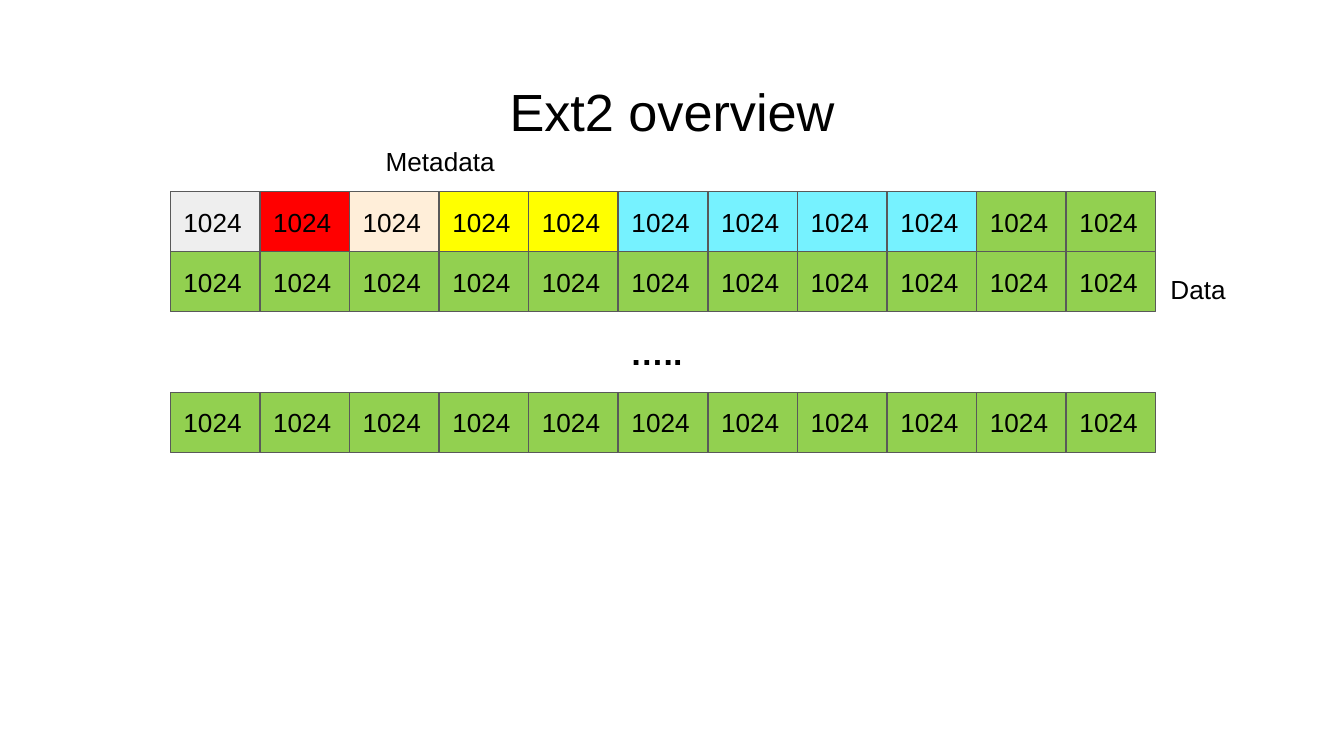
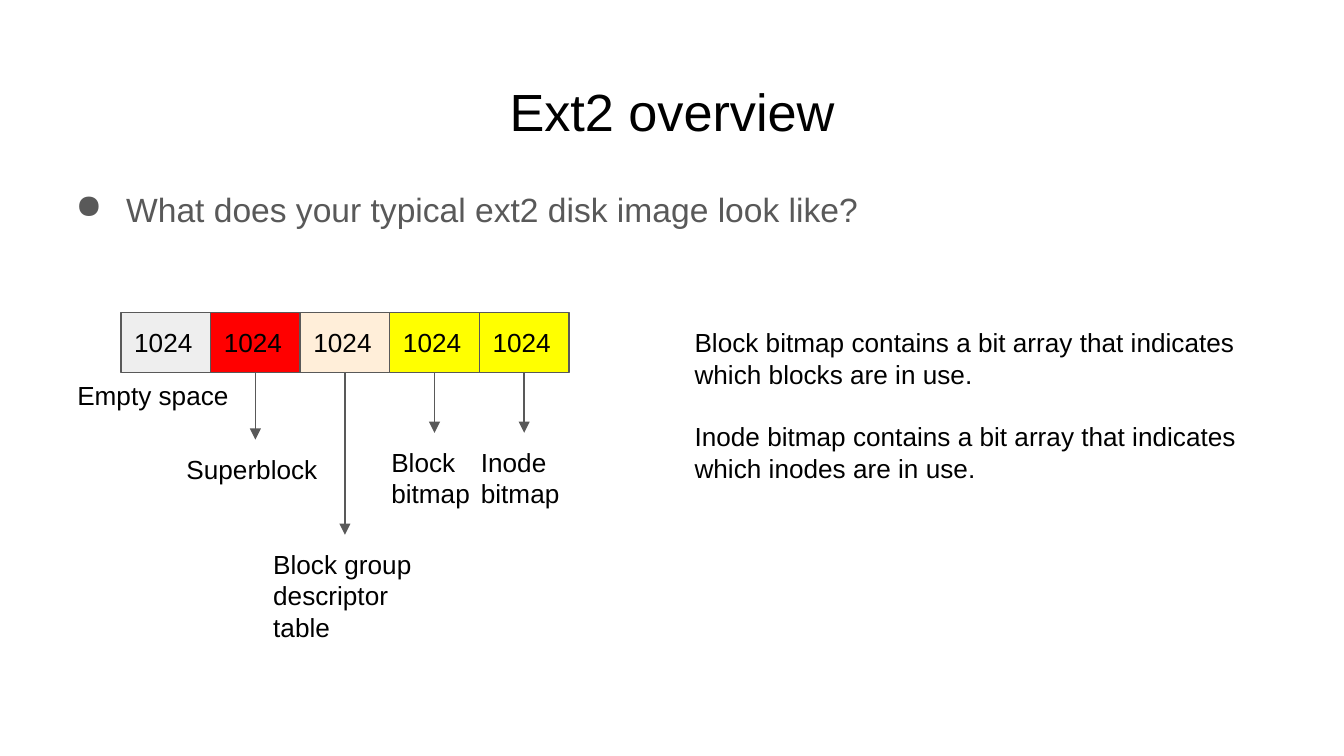
from lxml import etree
from pptx import Presentation
from pptx.dml.color import RGBColor
from pptx.enum import shapes, text
from pptx.oxml import ns
from pptx.util import Pt

FONT = "Arial"
BLACK, GRAY = "000000", "595959"
EMPTY, SUPER, GROUP, BITMAP, INODES, DATA = (
    "EEEEEE", "FF0000", "FFEED9", "FFFF00", "76F2FF", "92D050")
METADATA = [EMPTY, SUPER, GROUP, BITMAP, BITMAP]
BLOCK_W, BLOCK_H = 48, 32.2
PAD = 7.2


def rgb(value):
    """Turn a hex string into a colour."""
    return RGBColor.from_string(value)


def add_xml(parent, tag, **attrs):
    """Append a DrawingML element to a parent element."""
    return etree.SubElement(parent, ns.qn(tag), **attrs)


def style(p, size, color=BLACK, bold=False):
    """Set the font of a paragraph."""
    p.font.name, p.font.size, p.font.bold = FONT, Pt(size), bold
    p.font.color.rgb = rgb(color)


def set_frame(tf, pad_y=PAD, anchor=text.MSO_ANCHOR.TOP):
    """Set wrapping, insets and anchor of a text frame."""
    tf.word_wrap = True
    tf.auto_size = text.MSO_AUTO_SIZE.NONE
    tf.vertical_anchor = anchor
    tf.margin_left = tf.margin_right = Pt(PAD)
    tf.margin_top = tf.margin_bottom = Pt(pad_y)


def add_text(s, box, lines, size=14, color=BLACK, bold=False, pad_y=PAD):
    """Add a text box with one paragraph per line and return its paragraphs."""
    tf = s.shapes.add_textbox(*map(Pt, box)).text_frame
    set_frame(tf, pad_y)
    tf.text = "\n".join(lines)
    for p in tf.paragraphs:
        style(p, size, color, bold)
    return tf.paragraphs


def add_titled_slide(prs, title):
    """Add a title-only slide with the shared title style."""
    s = prs.slides.add_slide(prs.slide_layouts[5])
    sp = s.shapes.title
    sp.left, sp.top, sp.width, sp.height = map(Pt, (24.5, 35, 671, 45))
    sp.text_frame.text = title
    set_frame(sp.text_frame)
    p = sp.text_frame.paragraphs[0]
    p.alignment = text.PP_ALIGN.CENTER
    style(p, 28)
    return s


def add_blocks(s, left, top, colors):
    """Add a row of adjoining disk blocks."""
    for i, color in enumerate(colors):
        sp = s.shapes.add_shape(
            shapes.MSO_SHAPE.RECTANGLE, Pt(left + i * BLOCK_W), Pt(top),
            Pt(BLOCK_W), Pt(BLOCK_H))
        sp.shadow.inherit = False
        sp.fill.solid()
        sp.fill.fore_color.rgb = rgb(color)
        sp.line.color.rgb = rgb(GRAY)
        sp.line.width = Pt(0.75)
        set_frame(sp.text_frame, anchor=text.MSO_ANCHOR.MIDDLE)
        sp.text_frame.text = "1024"
        p = sp.text_frame.paragraphs[0]
        p.alignment = text.PP_ALIGN.LEFT
        style(p, 14)


def add_arrow(s, x, top, bottom):
    """Add a downward arrow."""
    line = s.shapes.add_connector(
        shapes.MSO_CONNECTOR.STRAIGHT, Pt(x), Pt(top), Pt(x), Pt(bottom))
    line.line.color.rgb = rgb(GRAY)
    line.line.width = Pt(0.75)
    add_xml(line.line._get_or_add_ln(), "a:tailEnd", type="triangle")
    add_xml(line._element.spPr, "a:effectLst")


def add_block_labels(s, left, top, labels):
    """Add a centred label box under each block, with an arrow where it drops."""
    bottom = top + BLOCK_H
    for i, (name, width, drop) in enumerate(labels):
        x = left + (i + 0.5) * BLOCK_W
        if drop > 0:
            add_arrow(s, x, bottom, bottom + drop)
        add_text(s, (x - width / 2, bottom + drop, width, 36), [name])


def add_bullet(s, box, line):
    """Add a bulleted line."""
    p = add_text(s, box, [line], 18, GRAY)[0]
    p.line_spacing, p.space_after = 1.15, Pt(16)
    pPr = p._p.get_or_add_pPr()
    pPr.set("marL", str(Pt(36)))
    pPr.set("indent", str(-Pt(27)))
    add_xml(add_xml(pPr, "a:buClr"), "a:srgbClr", val=GRAY)
    add_xml(pPr, "a:buChar", char="●")


def build_disk_slide(prs):
    """Build the slide with the whole disk."""
    s = add_titled_slide(prs, "Ext2 overview")
    left, top = 91.2, 102.6
    add_blocks(s, left, top, METADATA + [INODES] * 4 + [DATA] * 2)
    for row_top in (top + BLOCK_H, top + 107.6):
        add_blocks(s, left, row_top, [DATA] * 11)
    add_text(s, (199.5, 74.5, 120, 24.5), ["Metadata"], pad_y=3.6)
    add_text(s, (620, 142.9, 100, 24.5), ["Data"], pad_y=3.6)
    add_text(s, (330.5, 174.2, 137, 29), ["….."], 18, bold=True, pad_y=3.6)


def build_metadata_slide(prs):
    """Build the slide that names the metadata blocks."""
    s = add_titled_slide(prs, "Ext2 overview")
    add_bullet(s, (24.5, 90.7, 671, 42),
               "What does your typical ext2 disk image look like?")
    left, top = 64.8, 167.3
    add_blocks(s, left, top, METADATA)
    add_block_labels(s, left, top, [
        ("Empty space", 109, -3.6),
        ("Superblock", 88, 36),
        ("Block group descriptor table", 91, 87),
        ("Block bitmap", 60.5, 32.4),
        ("Inode bitmap", 60.5, 32.4),
    ])
    paragraphs = add_text(s, (365, 171.4, 312, 92), [
        "Block bitmap contains a bit array that indicates",
        "which blocks are in use.",
        "Inode bitmap contains a bit array that indicates",
        "which inodes are in use.",
    ], pad_y=3.6)
    paragraphs[2].space_before = Pt(16.8)


def main():
    """Build and save the presentation."""
    prs = Presentation()
    prs.slide_width, prs.slide_height = Pt(720), Pt(405)
    build_disk_slide(prs)
    build_metadata_slide(prs)
    prs.save("out.pptx")


if __name__ == "__main__":
    main()
